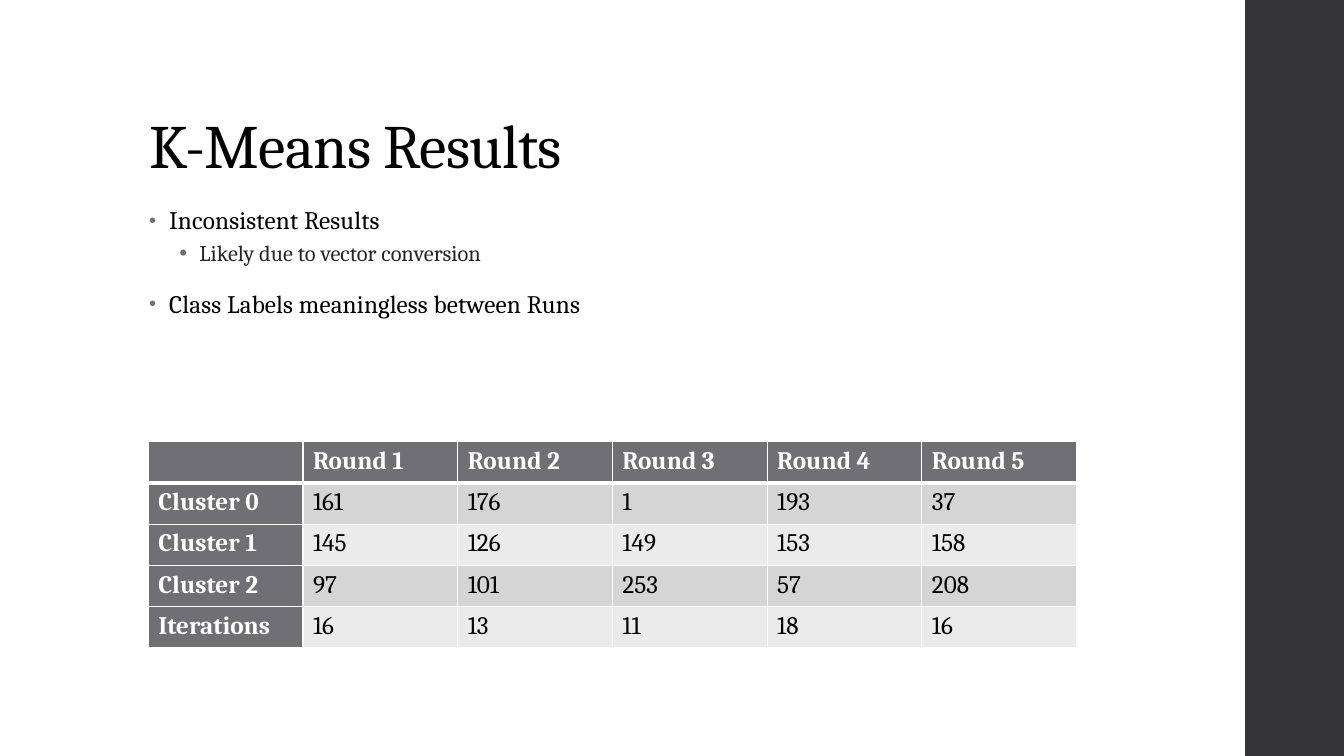
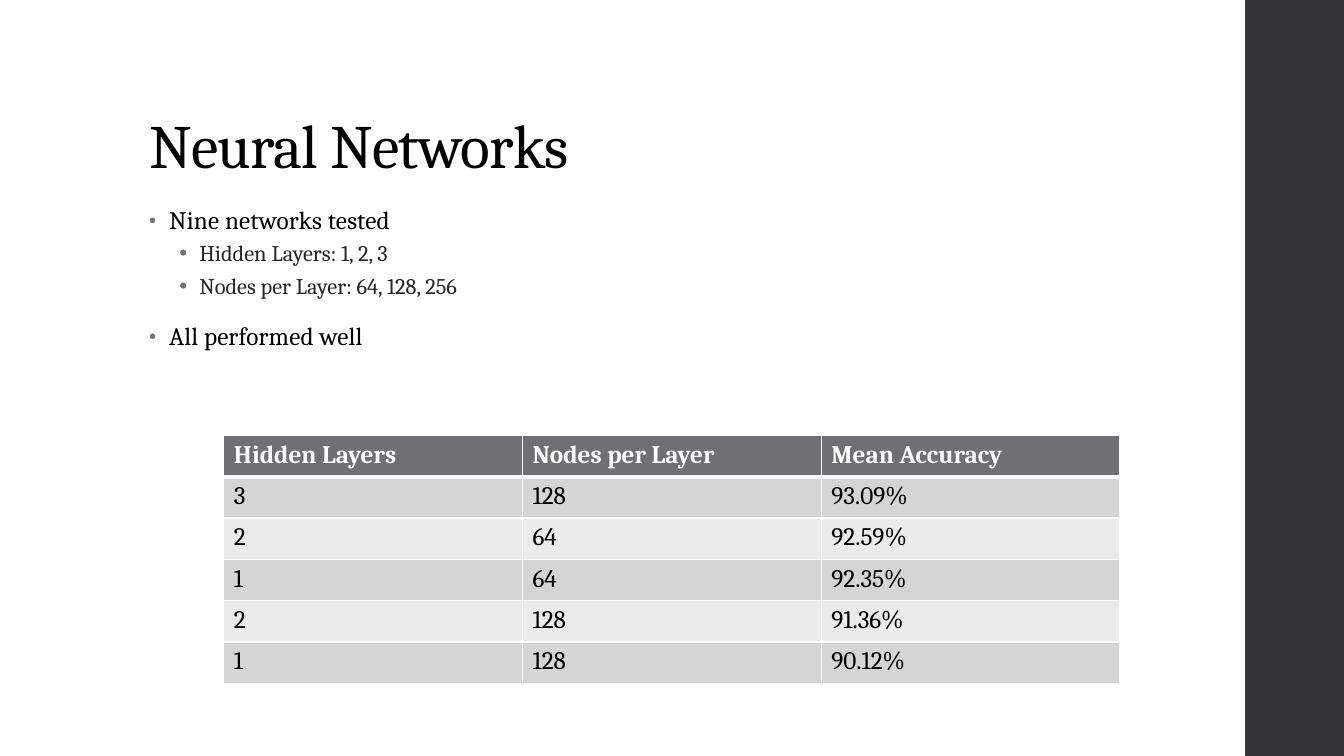
"""Builds two slides of clustering and neural network results."""
from dataclasses import dataclass

from lxml import etree
from pptx import Presentation
from pptx.dml.color import RGBColor
from pptx.enum.shapes import MSO_SHAPE
from pptx.enum.text import MSO_ANCHOR
from pptx.oxml.ns import qn
from pptx.util import Inches, Pt

RECT = MSO_SHAPE.RECTANGLE
TOP, BOTTOM = MSO_ANCHOR.TOP, MSO_ANCHOR.BOTTOM
SLIDE_W, SLIDE_H = 13.33, 7.5
ROW_H = 0.41


@dataclass(frozen=True)
class Theme:
    font: str = "Cambria"
    white: str = "FFFFFF"
    black: str = "000000"
    soft: str = "262626"
    band: str = "353537"
    accent: str = "6F6F74"
    stripes: tuple = ("D5D5D6", "EBEBEB")
    title_size: int = 44
    body_size: int = 18
    sub_size: int = 16


THEME = Theme()
LEVELS = (
    dict(size=THEME.body_size, color=THEME.black, spacing=0.1, line=0.95,
         before=14, after=2, indent=0.2, bullet_pct=80),
    dict(size=THEME.sub_size, color=THEME.soft, line=0.9,
         before=3, after=3, indent=0.5, bullet_pct=100),
)


def add_xml(parent, tag, **attrs):
    return etree.SubElement(parent, qn(tag), attrs)


def write(p, text, size=THEME.body_size, color=THEME.black, bold=False,
          spacing=0, line=None, before=None, after=None,
          indent=None, bullet_pct=100):
    if line:
        p.line_spacing = line
    if before is not None:
        p.space_before, p.space_after = Pt(before), Pt(after)
    if indent is not None:
        pPr = p._p.get_or_add_pPr()
        pPr.set("marL", str(Inches(indent)))
        pPr.set("indent", str(Inches(-0.2)))
        add_xml(add_xml(pPr, "a:buClr"), "a:srgbClr", val=THEME.accent)
        add_xml(pPr, "a:buSzPct", val=str(bullet_pct * 1000))
        add_xml(pPr, "a:buFont", typeface="Arial")
        add_xml(pPr, "a:buChar", char="•")
    r = p.add_run()
    r.text = text
    r.font.name, r.font.size, r.font.bold = THEME.font, Pt(size), bold
    r.font.color.rgb = RGBColor.from_string(color)
    if spacing:
        r._r.get_or_add_rPr().set("spc", str(round(spacing * 100)))


class Deck:
    def __init__(self):
        self.prs = Presentation()
        self.prs.slide_width = Inches(SLIDE_W)
        self.prs.slide_height = Inches(SLIDE_H)
        self.s = None

    def slide(self, title):
        self.s = self.prs.slides.add_slide(self.prs.slide_layouts[6])
        self.band(12.35)
        tf = self.text_frame(1.38, 0.4, 10.6, 1.45, BOTTOM)
        write(tf.paragraphs[0], title, size=THEME.title_size,
              spacing=-0.5, line=0.9)

    def band(self, x):
        sp = self.s.shapes.add_shape(RECT, Inches(x), 0,
                                     Inches(SLIDE_W - x), Inches(SLIDE_H))
        sp.shadow.inherit = False
        sp.fill.solid()
        sp.fill.fore_color.rgb = RGBColor.from_string(THEME.band)
        sp.line.fill.background()

    def text_frame(self, x, y, w, h, anchor):
        sp = self.s.shapes.add_textbox(Inches(x), Inches(y),
                                       Inches(w), Inches(h))
        tf = sp.text_frame
        tf.word_wrap = True
        tf.vertical_anchor = anchor
        return tf

    def bullets(self, items):
        tf = self.text_frame(1.38, 2, 9.4, 4.76, TOP)
        for i, (level, text) in enumerate(items):
            p = tf.add_paragraph() if i else tf.paragraphs[0]
            p.level = level
            write(p, text, **LEVELS[level])

    def table(self, x, y, w, rows, row_heads=False):
        n_cols = len(rows[0])
        table = self.s.shapes.add_table(
            len(rows), n_cols, Inches(x), Inches(y),
            Inches(w), Inches(ROW_H * len(rows))).table
        table.first_col = row_heads
        table.horz_banding = False
        for col in table.columns:
            col.width = Inches(w / n_cols)
        for i, values in enumerate(rows):
            table.rows[i].height = Inches(ROW_H)
            for j, value in enumerate(values):
                head = i == 0 or (row_heads and j == 0)
                fill = THEME.accent if head else THEME.stripes[(i - 1) % 2]
                self.cell(table.cell(i, j), value, head, fill,
                          top=3 if i == 1 else 1, bottom=3 if i == 0 else 1)

    def cell(self, cell, value, head, fill, top, bottom):
        if value:
            write(cell.text_frame.paragraphs[0], value, bold=head,
                  color=THEME.white if head else THEME.black)
        tcPr = cell._tc.get_or_add_tcPr()
        for side, width in zip("LRTB", (1, 1, top, bottom)):
            ln = add_xml(tcPr, f"a:ln{side}", w=str(Pt(width)))
            add_xml(add_xml(ln, "a:solidFill"), "a:srgbClr", val=THEME.white)
        cell.fill.solid()
        cell.fill.fore_color.rgb = RGBColor.from_string(fill)


def main():
    deck = Deck()

    deck.slide("K-Means Results")
    deck.bullets([
        (0, "Inconsistent Results"),
        (1, "Likely due to vector conversion"),
        (0, "Class Labels meaningless between Runs"),
    ])
    deck.table(1.47, 4.38, 9.21, [
        ("", *(f"Round {n}" for n in range(1, 6))),
        ("Cluster 0", "161", "176", "1", "193", "37"),
        ("Cluster 1", "145", "126", "149", "153", "158"),
        ("Cluster 2", "97", "101", "253", "57", "208"),
        ("Iterations", "16", "13", "11", "18", "16"),
    ], row_heads=True)

    deck.slide("Neural Networks")
    deck.bullets([
        (0, "Nine networks tested"),
        (1, "Hidden Layers: 1, 2, 3"),
        (1, "Nodes per Layer: 64, 128, 256"),
        (0, "All performed well"),
    ])
    deck.table(2.22, 4.32, 8.89, [
        ("Hidden Layers", "Nodes per Layer", "Mean Accuracy"),
        ("3", "128", "93.09%"),
        ("2", "64", "92.59%"),
        ("1", "64", "92.35%"),
        ("2", "128", "91.36%"),
        ("1", "128", "90.12%"),
    ])

    deck.prs.save("out.pptx")


if __name__ == "__main__":
    main()
